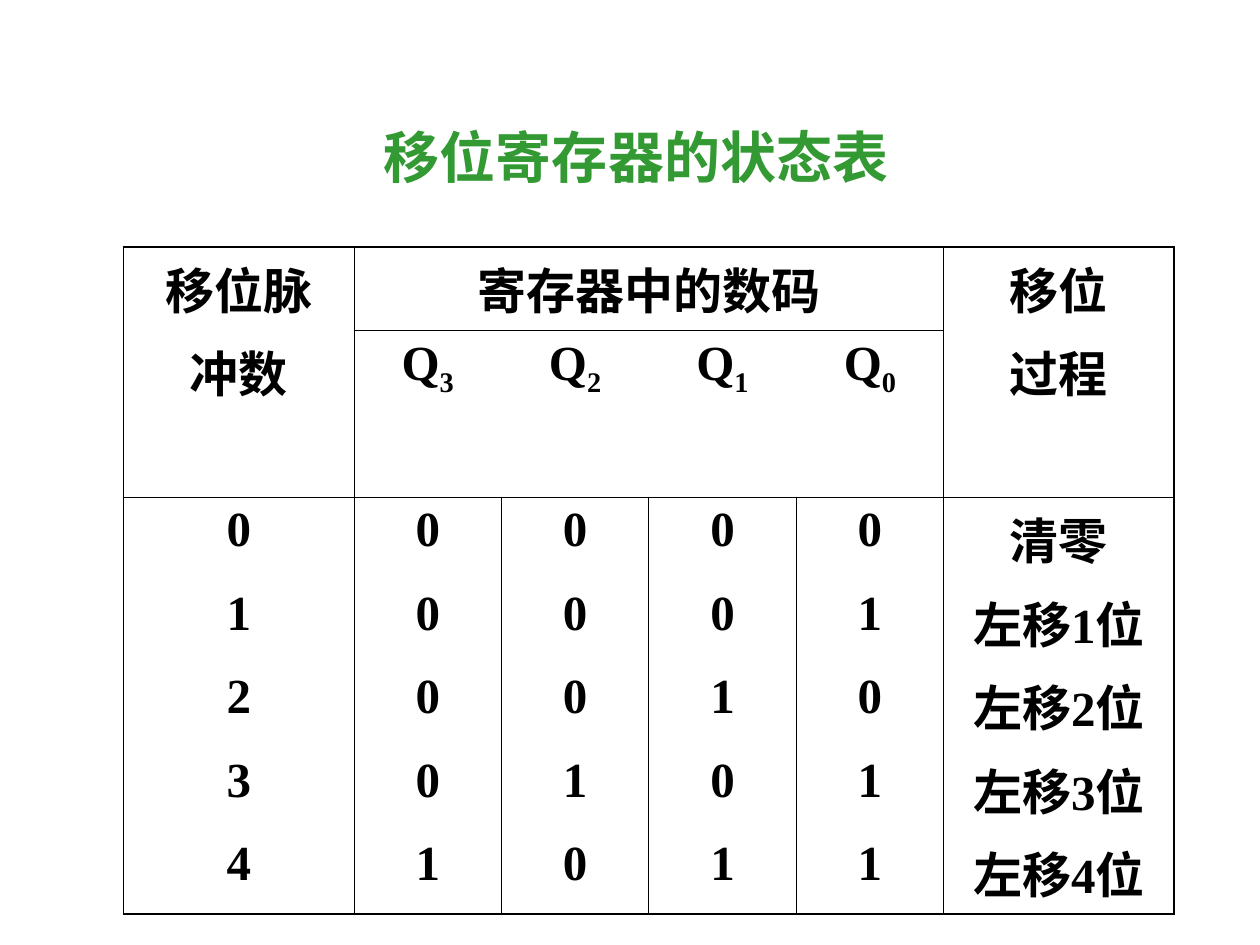
import lxml.etree
import pptx
import pptx.dml.color
import pptx.enum.text
import pptx.oxml.ns
import pptx.util
from pptx.util import Inches

BLACK = pptx.dml.color.RGBColor(0x00, 0x00, 0x00)
GREEN = pptx.dml.color.RGBColor(0x33, 0x99, 0x33)
FONT = "Times New Roman"
NO_STYLE = "{2D5ABB26-0587-4C30-8999-92F81FD0307C}"
THIN, THICK = 0.45, 1.08


def style_paragraph(para, size, color):
    para.alignment = pptx.enum.text.PP_ALIGN.CENTER
    para.font.name = FONT
    para.font.size = pptx.util.Pt(size)
    para.font.bold = True
    para.font.color.rgb = color


def add_border(cell, side, width):
    """Draw one cell side (L, R, T or B); a width of 0 leaves it open."""
    qn = pptx.oxml.ns.qn
    properties = cell._tc.get_or_add_tcPr()
    line = lxml.etree.SubElement(properties, qn(f"a:ln{side}"))
    line.set("w", str(int(pptx.util.Pt(width))))
    if width:
        fill = lxml.etree.SubElement(line, qn("a:solidFill"))
        lxml.etree.SubElement(fill, qn("a:srgbClr")).set("val", str(BLACK))
    else:
        lxml.etree.SubElement(line, qn("a:noFill"))


deck = pptx.Presentation()
deck.slide_width, deck.slide_height = Inches(10), Inches(7.5)
page = deck.slides.add_slide(deck.slide_layouts[6])

# State table: two header rows, then one row per shift pulse
states = ["0000", "0001", "0010", "0101", "1011"]
rows = [
    ["移位脉\n冲数", "寄存器中的数码", "", "", "", "移位\n过程"],
    ["", "Q3", "Q2", "Q1", "Q0", ""],
]
for pulse, state in enumerate(states):
    process = f"左移{pulse}位" if pulse else "清零"
    rows.append([str(pulse), *state, process])

widths = [1.83] + [1.17] * 4 + [1.83]
heights = [0.57, 1.13] + [0.57] * len(states)
last_row, last_column = len(rows) - 1, len(widths) - 1
frame = page.shapes.add_table(
    len(rows), len(widths), Inches(0.98), Inches(1.96), Inches(sum(widths)), Inches(sum(heights))
)
table = frame.table
table.first_row = table.horz_banding = False
table._tbl.tblPr.find(pptx.oxml.ns.qn("a:tableStyleId")).text = NO_STYLE
for column, width in zip(table.columns, widths):
    column.width = Inches(width)
for row, height in zip(table.rows, heights):
    row.height = Inches(height)

table.cell(0, 0).merge(table.cell(1, 0))
table.cell(0, 1).merge(table.cell(0, 4))
table.cell(0, last_column).merge(table.cell(1, last_column))

for r, texts in enumerate(rows):
    for c, text in enumerate(texts):
        cell = table.cell(r, c)
        digits_header = r < 2 and 1 <= c <= 4
        add_border(cell, "L", THICK if c == 0 else 0 if digits_header and c > 1 else THIN)
        add_border(cell, "R", THICK if c == last_column else 0 if digits_header and c < 4 else THIN)
        add_border(cell, "T", THICK if r == 0 else THIN if r == 2 or digits_header else 0)
        add_border(cell, "B", THICK if r == last_row else THIN if r == 1 or digits_header else 0)
        cell.fill.background()
        if cell.is_spanned:
            continue
        if text.startswith("Q"):
            para = cell.text_frame.paragraphs[0]
            para.add_run().text = "Q"
            subscript = para.add_run()
            subscript.text = text[1:]
            subscript.font._element.set("baseline", "-25000")
        else:
            cell.text_frame.text = text
        for index, para in enumerate(cell.text_frame.paragraphs):
            style_paragraph(para, 28, BLACK)
            if index:
                para.space_before = pptx.util.Pt(7)

# Title
title = page.shapes.add_textbox(Inches(1.26), Inches(0.92), Inches(7.58), Inches(0.64))
title.text_frame.word_wrap = True
title.text_frame.auto_size = pptx.enum.text.MSO_AUTO_SIZE.SHAPE_TO_FIT_TEXT
title.text_frame.text = "移位寄存器的状态表"
style_paragraph(title.text_frame.paragraphs[0], 32, GREEN)

deck.save("out.pptx")
